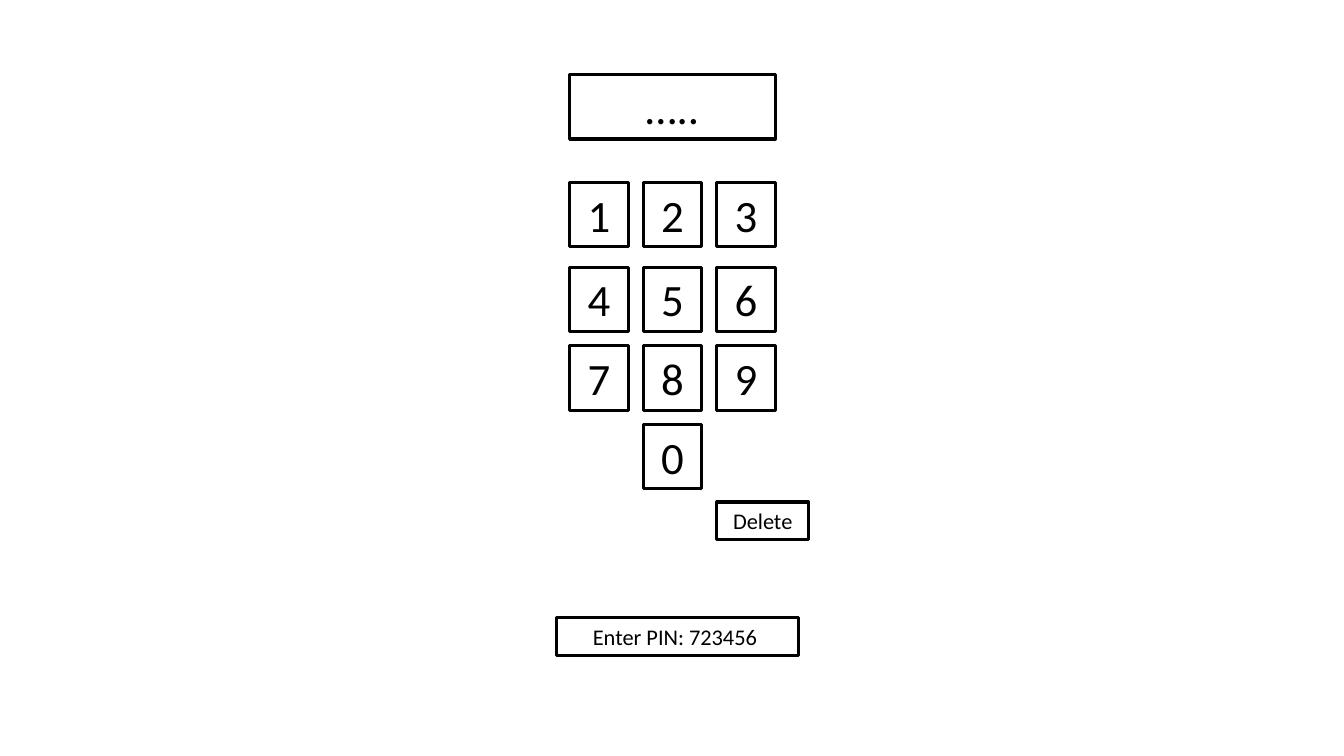
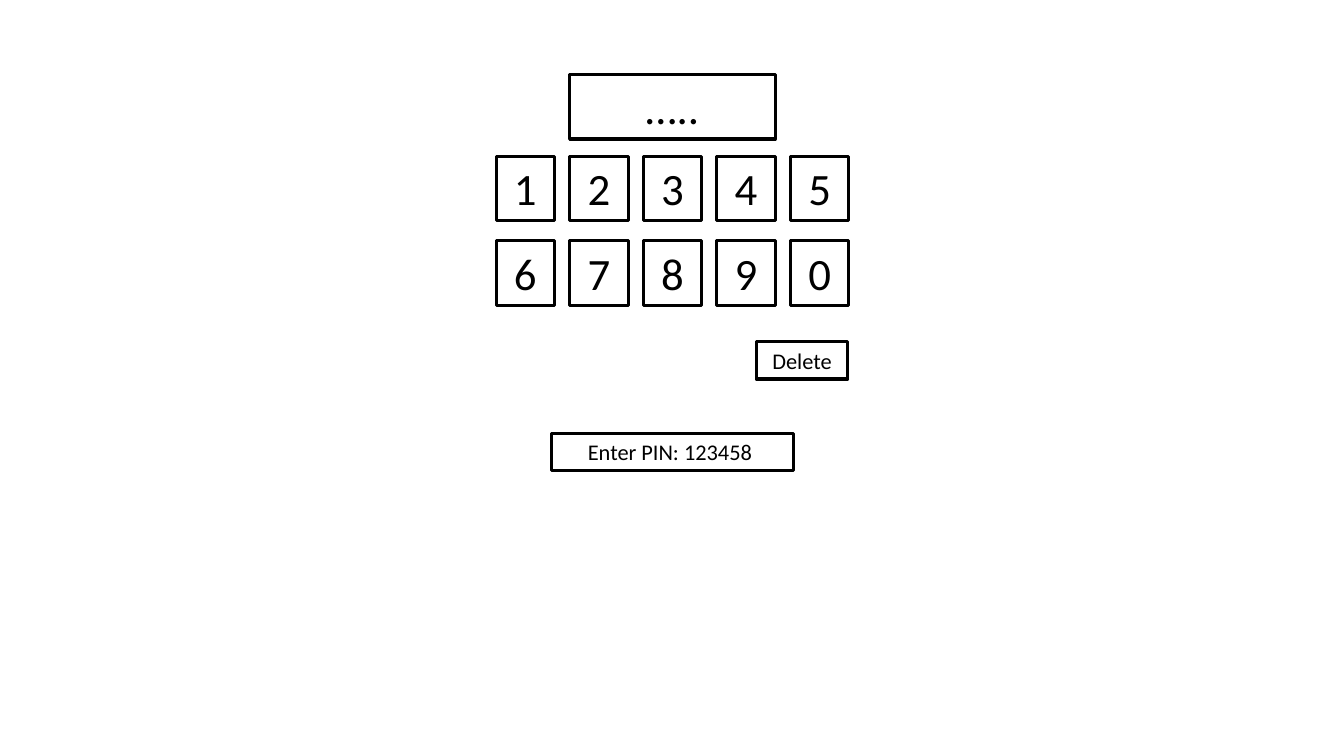
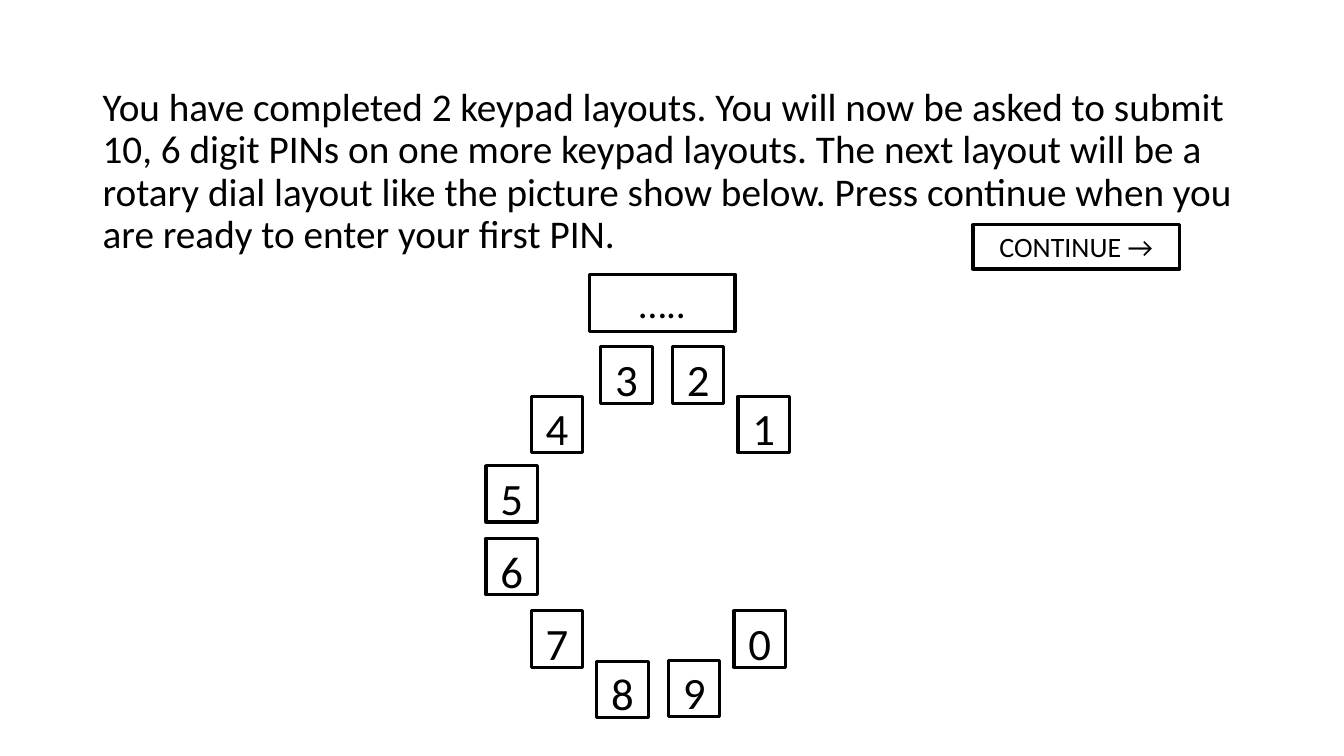
"""Build three slides of PIN keypad layouts: grid, two rows and rotary dial."""
import pptx
import pptx.dml.color
import pptx.enum.shapes
import pptx.enum.text
import pptx.util

Inches = pptx.util.Inches
Pt = pptx.util.Pt
COLORS = {"ink": "000000"}
FONT = "Calibri"
KEY_SIZE = (0.58, 0.64)
DIAL_KEY_SIZE = (0.51, 0.56)
KEY_PITCH = 0.73
DOTS = "….."
DIAL_KEYS = {
    "1": (7.32, 3.93), "2": (6.67, 3.44), "3": (5.96, 3.44), "4": (5.27, 3.93),
    "5": (4.82, 4.62), "6": (4.82, 5.34), "7": (5.27, 6.06), "8": (5.92, 6.56),
    "9": (6.63, 6.55), "0": (7.28, 6.06),
}
INTRO = (
    "You have completed 2 keypad layouts. You will now be asked to submit 10, "
    "6 digit PINs on one more keypad layouts. The next layout will be a rotary "
    "dial layout like the picture show below. Press continue when you are ready "
    "to enter your first PIN."
)


def ink():
    return pptx.dml.color.RGBColor.from_string(COLORS["ink"])


def add_slide(prs):
    return prs.slides.add_slide(prs.slide_layouts[6])


def set_text(sp, text, size, align):
    tf = sp.text_frame
    tf.word_wrap = True
    tf.vertical_anchor = pptx.enum.text.MSO_ANCHOR.TOP
    p = tf.paragraphs[0]
    p.text = text
    p.alignment = align
    p.font.name = FONT
    p.font.size = Pt(size)
    p.font.color.rgb = ink()
    return p


def add_box(slide, text, left, top, width, height, size):
    sp = slide.shapes.add_shape(
        pptx.enum.shapes.MSO_SHAPE.RECTANGLE,
        Inches(left), Inches(top), Inches(width), Inches(height))
    sp.shadow.inherit = False
    sp.fill.background()
    sp.line.color.rgb = ink()
    sp.line.width = Pt(2.25)
    set_text(sp, text, size, pptx.enum.text.PP_ALIGN.CENTER)


def add_key_row(slide, digits, left, top):
    for i, digit in enumerate(digits):
        add_box(slide, digit, left + i * KEY_PITCH, top, *KEY_SIZE, 32)


def add_display(slide):
    add_box(slide, DOTS, 5.65, 0.74, 2.04, 0.64, 32)


def add_delete(slide, left, top):
    add_box(slide, "Delete", left, top, 0.91, 0.37, 16)


def add_prompt(slide, pin, left, top):
    add_box(slide, f"Enter PIN: {pin} ", left, top, 2.4, 0.37, 16)


def add_intro(slide):
    sp = slide.shapes.add_textbox(Inches(0.92), Inches(0.82), Inches(11.5), Inches(5.94))
    p = set_text(sp, INTRO, 28, pptx.enum.text.PP_ALIGN.LEFT)
    p.line_spacing = 0.9
    p.space_before = Pt(10)


def build_grid_keypad(prs):
    slide = add_slide(prs)
    for digits, top in (("123", 1.81), ("456", 2.65), ("789", 3.43)):
        add_key_row(slide, digits, 5.65, top)
    add_key_row(slide, "0", 5.65 + KEY_PITCH, 4.21)
    add_display(slide)
    add_delete(slide, 7.11, 4.98)
    add_prompt(slide, "723456", 5.52, 6.13)


def build_two_row_keypad(prs):
    slide = add_slide(prs)
    for digits, top in (("12345", 1.55), ("67890", 2.39)):
        add_key_row(slide, digits, 4.92, top)
    add_display(slide)
    add_delete(slide, 7.5, 3.39)
    add_prompt(slide, "123458", 5.47, 4.3)


def build_rotary_intro(prs):
    slide = add_slide(prs)
    add_intro(slide)
    add_box(slide, "CONTINUE →", 9.65, 2.23, 2.05, 0.44, 20)
    for digit, (left, top) in DIAL_KEYS.items():
        add_box(slide, digit, left, top, *DIAL_KEY_SIZE, 32)
    add_box(slide, DOTS, 5.85, 2.72, 1.44, 0.57, 28)


def main():
    prs = pptx.Presentation()
    prs.slide_width = Inches(13.33)
    prs.slide_height = Inches(7.5)
    build_grid_keypad(prs)
    build_two_row_keypad(prs)
    build_rotary_intro(prs)
    prs.save("out.pptx")


if __name__ == "__main__":
    main()
